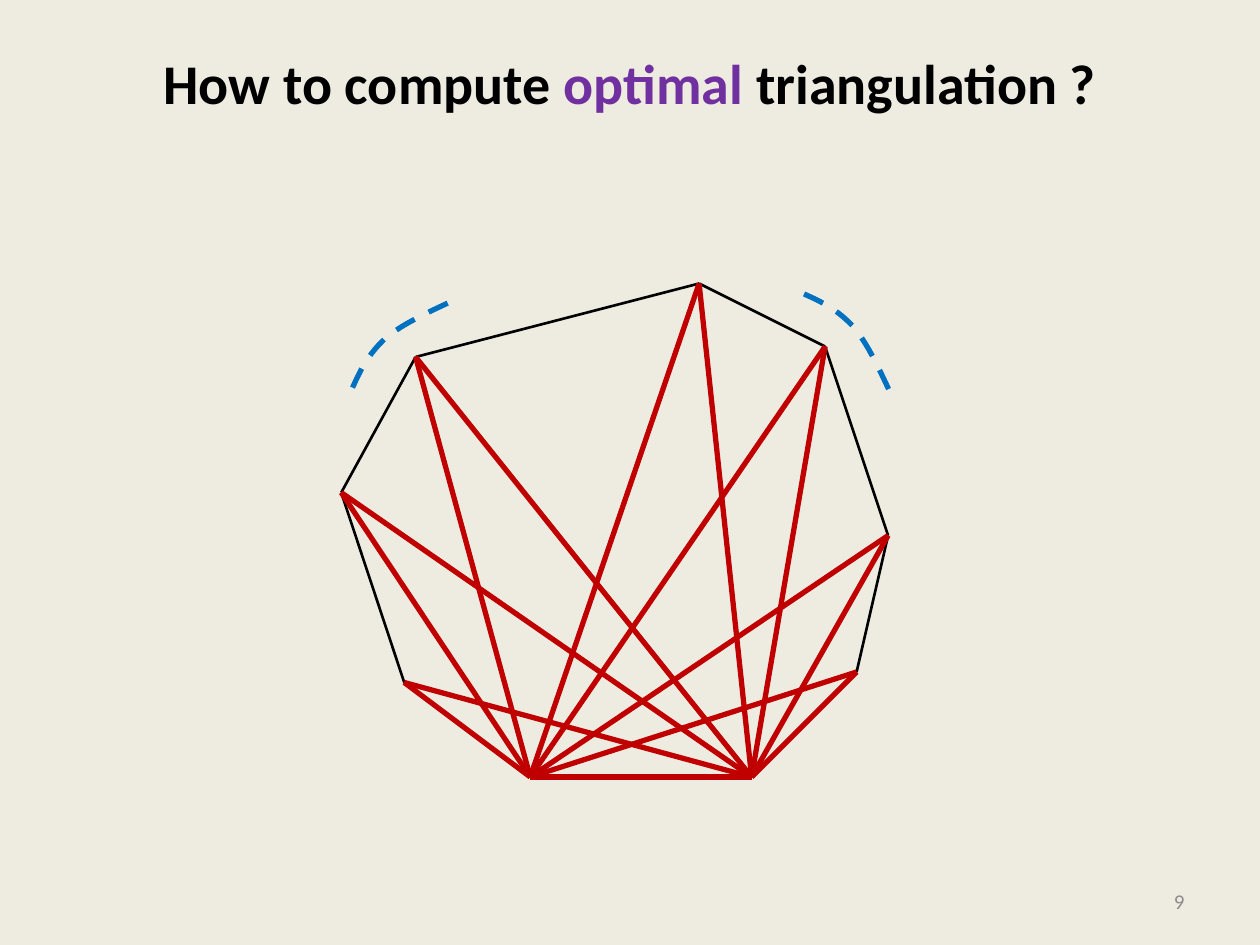
from dataclasses import dataclass
from itertools import pairwise

from lxml.etree import SubElement
from pptx import Presentation
from pptx.dml.color import RGBColor
from pptx.enum.dml import MSO_LINE
from pptx.enum.shapes import MSO_CONNECTOR
from pptx.enum.text import MSO_ANCHOR, PP_ALIGN
from pptx.oxml.ns import qn
from pptx.shapes.shapetree import GroupShapes, SlideShapes
from pptx.util import Pt

CREAM = RGBColor(0xEE, 0xEC, 0xE1)
BLACK = RGBColor(0x00, 0x00, 0x00)
PURPLE = RGBColor(0x70, 0x30, 0xA0)
GRAY = RGBColor(0x8C, 0x8C, 0x8C)
RED = RGBColor(0xC0, 0x00, 0x00)
BLUE = RGBColor(0x00, 0x70, 0xC0)

Shapes = SlideShapes | GroupShapes


@dataclass(frozen=True)
class Point:
    x: float
    y: float


@dataclass(frozen=True)
class Span:
    text: str
    color: RGBColor


@dataclass(frozen=True)
class TextBox:
    left: float
    top: float
    width: float
    height: float
    spans: tuple[Span, ...]
    size: float
    bold: bool
    align: PP_ALIGN
    anchor: MSO_ANCHOR


@dataclass(frozen=True)
class Arc:
    shift: Point
    rotation: float


TITLE = TextBox(
    36, 21.6, 648, 90,
    (Span("How to compute ", BLACK), Span("optimal", PURPLE), Span(" triangulation ?", BLACK)),
    32, True, PP_ALIGN.CENTER, MSO_ANCHOR.TOP,
)
PAGE_NUMBER = TextBox(
    516, 500.5, 168, 28.75, (Span("9", GRAY),),
    12, False, PP_ALIGN.RIGHT, MSO_ANCHOR.MIDDLE,
)

# Polygon: the base and the apexes, counter-clockwise from the lower right
BASE_LEFT = Point(303, 444)
BASE_RIGHT = Point(429.5, 444)
APEXES = (
    Point(489.5, 384), Point(507.5, 306), Point(471.5, 198), Point(399.5, 162),
    Point(237.5, 204), Point(195, 281.5), Point(231, 390),
)

# Two cubic curves that share their middle point
ARC_CURVES = (
    (Point(459.5, 168), Point(468.5, 172), Point(478, 176.5), Point(487, 186)),
    (Point(487, 186), Point(495.5, 195.5), Point(502.5, 211), Point(509.5, 226)),
)
ARCS = (Arc(Point(0, 0), 0), Arc(Point(-254, -0.5), 270))
CURVE_STEPS = 10


def add_text(shapes: Shapes, item: TextBox) -> None:
    box = shapes.add_textbox(Pt(item.left), Pt(item.top), Pt(item.width), Pt(item.height))
    frame = box.text_frame
    frame.word_wrap = True
    frame.vertical_anchor = item.anchor
    frame.margin_top = frame.margin_bottom = Pt(6)
    para = frame.paragraphs[0]
    para.alignment = item.align
    para.font.name = "Calibri"
    para.font.size = Pt(item.size)
    para.font.bold = item.bold
    for span in item.spans:
        run = para.add_run()
        run.text = span.text
        run.font.color.rgb = span.color


def add_edge(shapes: Shapes, start: Point, end: Point, color: RGBColor, width: float) -> None:
    edge = shapes.add_connector(
        MSO_CONNECTOR.STRAIGHT, Pt(start.x), Pt(start.y), Pt(end.x), Pt(end.y)
    )
    edge.line.color.rgb = color
    edge.line.width = Pt(width)
    SubElement(edge._element.spPr, qn("a:effectLst"))


def point_on_curve(curve: tuple[Point, ...], t: float) -> Point:
    weights = ((1 - t) ** 3, 3 * t * (1 - t) ** 2, 3 * t**2 * (1 - t), t**3)
    return Point(
        sum(weight * point.x for weight, point in zip(weights, curve)),
        sum(weight * point.y for weight, point in zip(weights, curve)),
    )


def add_arc(shapes: Shapes, arc: Arc) -> None:
    points = [ARC_CURVES[0][0]] + [
        point_on_curve(curve, step / CURVE_STEPS)
        for curve in ARC_CURVES
        for step in range(1, CURVE_STEPS + 1)
    ]
    corners = [(Pt(point.x + arc.shift.x), Pt(point.y + arc.shift.y)) for point in points]
    builder = shapes.build_freeform(*corners[0])
    builder.add_line_segments(corners[1:], close=False)
    shape = builder.convert_to_shape()
    shape.rotation = arc.rotation
    shape.shadow.inherit = False
    shape.fill.background()
    shape.line.color.rgb = BLUE
    shape.line.width = Pt(3)
    shape.line.dash_style = MSO_LINE.DASH


def main() -> None:
    deck = Presentation()
    deck.slide_width, deck.slide_height = Pt(720), Pt(540)
    page = deck.slides.add_slide(deck.slide_layouts[6])
    page.background.fill.solid()
    page.background.fill.fore_color.rgb = CREAM

    # Title and page number
    add_text(page.shapes, TITLE)
    add_text(page.shapes, PAGE_NUMBER)

    # Polygon outline
    outline = page.shapes.add_group_shape().shapes
    for start, end in pairwise((BASE_LEFT, BASE_RIGHT, *APEXES, BASE_LEFT)):
        add_edge(outline, start, end, BLACK, 1.5)

    # Dashed arcs for the omitted vertices
    arcs = page.shapes.add_group_shape().shapes
    for arc in ARCS:
        add_arc(arcs, arc)

    # Candidate triangles over the common base
    add_edge(page.shapes, BASE_LEFT, BASE_RIGHT, RED, 3)
    for apex in APEXES:
        triangle = page.shapes.add_group_shape().shapes
        for corner in (BASE_LEFT, BASE_RIGHT):
            add_edge(triangle, corner, apex, RED, 3)

    deck.save("out.pptx")


if __name__ == "__main__":
    main()
